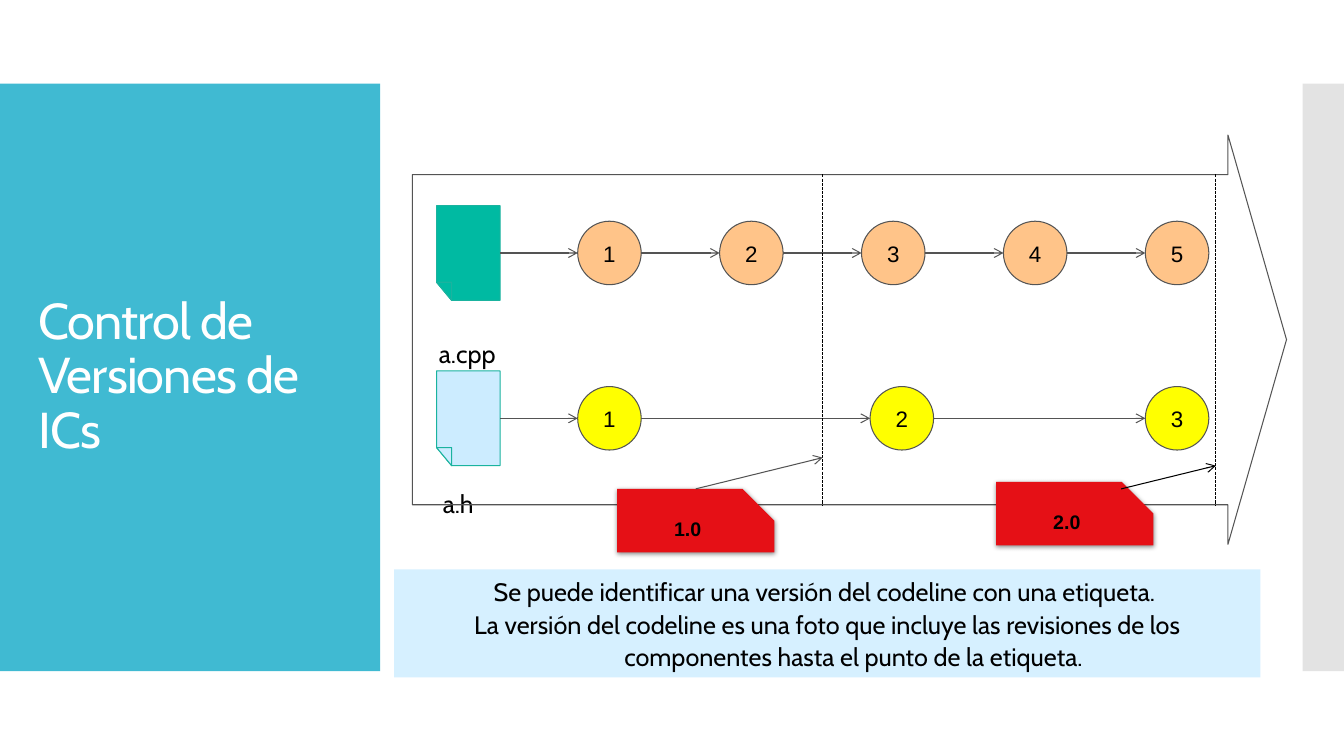
import pptx
import pptx.util
import pptx.dml.color
import pptx.enum.dml
import pptx.enum.shapes
import pptx.enum.text
import pptx.oxml
import pptx.oxml.ns
from dataclasses import dataclass

Inches, Pt = pptx.util.Inches, pptx.util.Pt
SHAPE = pptx.enum.shapes.MSO_SHAPE
ALIGN = pptx.enum.text.PP_ALIGN
ANCHOR = pptx.enum.text.MSO_ANCHOR


@dataclass(frozen=True)
class Theme:
    panel: str = "40BAD2"
    strip: str = "E3E3E3"
    white: str = "FFFFFF"
    black: str = "000000"
    line: str = "545454"
    page_line: str = "1AB39F"
    tag: str = "E51016"
    caption: str = "D6F0FF"
    font: str = "Cabin"
    label_font: str = "Arial"
    title_size: int = 36
    body_size: int = 18
    revision_size: int = 16
    tag_size: int = 14
    line_width: float = 0.75


T = Theme()

TITLE = "Control de Versiones de ICs"
CAPTION = [
    "Se puede identificar una versión del codeline con una etiqueta. ",
    "La versión del codeline es una foto que incluye las revisiones de los "
    "componentes hasta el punto de la etiqueta.",
]
FIRST_X, STEP, DIAMETER = 5.73, 1.4075, 0.63
FILES = [
    dict(name="a.cpp", top=2.04, page="00BAA2", revision="FFC489",
         lefts=[FIRST_X + STEP * i for i in range(5)],
         label=(4.25, 3.29, 0.77, 0.41)),
    dict(name="a.h", top=3.68, page="CCECFF", revision="FFFF00",
         lefts=[FIRST_X, 8.63, FIRST_X + STEP * 4],
         label=(4.28, 4.78, 0.53, 0.41)),
]
TAGS = [
    dict(name="1.0", at=(6.12, 4.85), cut=8.16, start=(6.9, 4.85),
         end_y=4.54, color=T.line, joined=True),
    dict(name="2.0", at=(9.88, 4.78), cut=12.06, start=(11.12, 4.85),
         end_y=4.62, color=T.black, joined=False),
]
PAGE_LEFT, PAGE_W, PAGE_H = 4.33, 0.63, 0.94
FOLD_W, FOLD_H = 0.15, 0.18
TAG_W, TAG_H = 1.56, 0.63
CUT_TOP, CUT_BOTTOM = 1.73, 5.01

prs = pptx.Presentation()
prs.slide_width, prs.slide_height = Inches(13.33), Inches(7.5)
s = prs.slides.add_slide(prs.slide_layouts[6])


def rgb(color):
    return pptx.dml.color.RGBColor.from_string(color)


def paint(sp, fill=None, line=None):
    sp.shadow.inherit = False
    if fill:
        sp.fill.solid()
        sp.fill.fore_color.rgb = rgb(fill)
    else:
        sp.fill.background()
    if line:
        sp.line.color.rgb = rgb(line)
        sp.line.width = Pt(T.line_width)
    else:
        sp.line.fill.background()
    return sp


def add_shape(kind, at, fill=None, line=None):
    return paint(s.shapes.add_shape(kind, *map(Inches, at)), fill, line)


def add_outline(points, fill, line):
    builder = s.shapes.build_freeform(*map(Inches, points[0]), scale=1.0)
    builder.add_line_segments([tuple(map(Inches, pt)) for pt in points[1:]])
    return paint(builder.convert_to_shape(), fill, line)


def add_text(sp, text, size=T.body_size, font=T.font, color=T.black, bold=False,
             align=ALIGN.CENTER, anchor=ANCHOR.MIDDLE, wrap=True, spacing=1.05,
             before=0, hanging=0, tracking=0):
    tf = sp.text_frame
    tf.word_wrap, tf.vertical_anchor = wrap, anchor
    for i, line in enumerate([text] if isinstance(text, str) else text):
        p = tf.add_paragraph() if i else tf.paragraphs[0]
        p.alignment, p.line_spacing, p.space_before = align, spacing, Pt(before)
        if hanging:
            props = p._p.get_or_add_pPr()
            props.set("marL", str(Inches(hanging)))
            props.set("indent", str(-Inches(hanging)))
        r = p.add_run()
        r.text = line
        r.font.name, r.font.size, r.font.bold = font, Pt(size), bold
        r.font.color.rgb = rgb(color)
        if tracking:
            r._r.get_or_add_rPr().set("spc", str(tracking))


def add_line(start, end, color=T.line, arrow=True):
    c = s.shapes.add_connector(pptx.enum.shapes.MSO_CONNECTOR.STRAIGHT,
                               *map(Inches, (*start, *end)))
    c.line.color.rgb = rgb(color)
    c.line.width = Pt(T.line_width)
    if arrow:
        tail = c.line._get_or_add_ln().makeelement(
            pptx.oxml.ns.qn("a:tailEnd"), {"type": "arrow"})
        c.line._get_or_add_ln().append(tail)
    else:
        c.line.dash_style = pptx.enum.dml.MSO_LINE.SQUARE_DOT
    props = c._element.spPr
    props.append(props.makeelement(pptx.oxml.ns.qn("a:effectLst"), {}))
    return c


def add_shadow(sp):
    effects = sp._element.spPr.find(pptx.oxml.ns.qn("a:effectLst"))
    effects.append(pptx.oxml.parse_xml(
        f'<a:outerShdw {pptx.oxml.ns.nsdecls("a")} blurRad="{Pt(3.5)}" '
        f'dist="{Pt(1.1)}" dir="5400000" rotWithShape="0">'
        f'<a:srgbClr val="{T.black}"><a:alpha val="45000"/></a:srgbClr>'
        '</a:outerShdw>'))


def add_file(file):
    left, top = PAGE_LEFT, file["top"]
    right, bottom = left + PAGE_W, top + PAGE_H
    fold_x, fold_y = left + FOLD_W, bottom - FOLD_H
    cut = [(left, fold_y), (fold_x, bottom)]
    add_outline([(left, top), *cut, (right, bottom), (right, top)],
                file["page"], T.page_line)
    add_outline([*cut, (fold_x, fold_y)], file["page"], T.page_line)
    middle = top + PAGE_H / 2
    for number, x in enumerate(file["lefts"], 1):
        sp = add_shape(SHAPE.OVAL, (x, middle - DIAMETER / 2, DIAMETER, DIAMETER),
                       file["revision"], T.line)
        add_text(sp, str(number), size=T.revision_size, font=T.label_font)
        add_line((right, middle), (x, middle))
        right = x + DIAMETER
    add_text(s.shapes.add_textbox(*map(Inches, file["label"])), file["name"],
             wrap=False, anchor=ANCHOR.TOP)


def add_tag(tag):
    sp = add_shape(SHAPE.SNIP_1_RECTANGLE, (*tag["at"], TAG_W, TAG_H), T.tag)
    sp.adjustments[0] = 0.5
    add_shadow(sp)
    add_text(sp, tag["name"], size=T.tag_size, font=T.label_font, bold=True)
    add_line((tag["cut"], CUT_TOP), (tag["cut"], CUT_BOTTOM), T.black, arrow=False)
    pointer = add_line(tag["start"], (tag["cut"], tag["end_y"]), tag["color"])
    if tag["joined"]:
        pointer.begin_connect(sp, 0)


def main():
    add_shape(SHAPE.RECTANGLE, (0, 0.83, 3.77, 5.83), T.panel)
    add_shape(SHAPE.RECTANGLE, (12.92, 0.83, 0.41, 5.83), T.strip)
    add_text(s.shapes.add_textbox(*map(Inches, (0.28, 1.23, 3.22, 5.03))), TITLE,
             size=T.title_size, color=T.white, align=ALIGN.LEFT, spacing=0.9,
             tracking=-60)
    for file in FILES:
        add_file(file)
    codeline = add_shape(SHAPE.RIGHT_ARROW, (4.09, 1.34, 8.67, 4.06), line=T.line)
    codeline.adjustments[0], codeline.adjustments[1] = 0.807, 0.143
    for tag in TAGS:
        add_tag(tag)
    add_text(add_shape(SHAPE.RECTANGLE, (3.91, 5.65, 8.59, 1.07), T.caption),
             CAPTION, before=1, hanging=0.52)
    prs.save("out.pptx")


if __name__ == "__main__":
    main()
